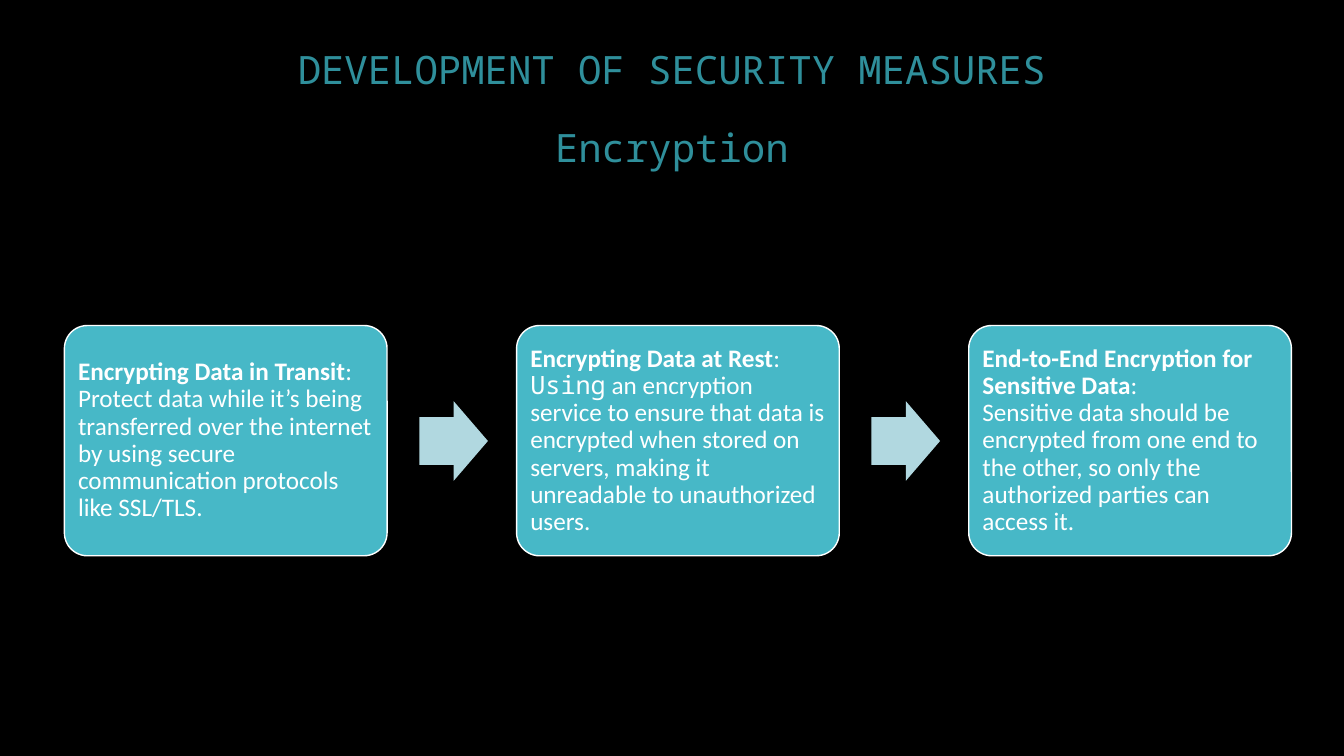
"""Build the slide on encryption as a security measure."""
from pptx import Presentation
from pptx.dml.color import RGBColor
from pptx.enum import shapes, text
from pptx.util import Pt


def rgb(value):
    return RGBColor.from_string(value)


def write(paragraph, content, font="Calibri", size=18, color="FFFFFF", bold=False):
    run = paragraph.add_run()
    run.text = content
    run.font.name = font
    run.font.size = Pt(size)
    run.font.bold = bold
    run.font.color.rgb = rgb(color)


MONO = "Noto Sans Mono"
MEASURES = [
    ("Encrypting Data in Transit",
     [("Protect data while it’s being transferred over the internet by using "
       "secure communication protocols like SSL/TLS.", "Calibri")]),
    ("Encrypting Data at Rest",
     [("Using", MONO),
      (" an encryption service to ensure that data is encrypted when stored on "
       "servers, making it unreadable to unauthorized users.", "Calibri")]),
    ("End-to-End Encryption for Sensitive Data",
     [("Sensitive data should be encrypted from one end to the other, so only "
       "the authorized parties can access it.", "Calibri")]),
]
LEFT, STEP = 46, 323

deck = Presentation()
deck.slide_width, deck.slide_height = Pt(960), Pt(540)
slide = deck.slides.add_slide(deck.slide_layouts[5])
slide.background.fill.solid()
slide.background.fill.fore_color.rgb = rgb("000000")

title = slide.shapes.title
title.left, title.top, title.width, title.height = Pt(120), Pt(36), Pt(720), Pt(90)
heading = title.text_frame
heading.auto_size = text.MSO_AUTO_SIZE.NONE
heading.vertical_anchor = text.MSO_ANCHOR.BOTTOM
topic, subtopic = heading.paragraphs[0], heading.add_paragraph()
subtopic.space_before = Pt(26)
for line, words in [(topic, "DEVELOPMENT OF SECURITY MEASURES"), (subtopic, "Encryption")]:
    line.alignment = text.PP_ALIGN.CENTER
    line.line_spacing = 0.9
    write(line, words, font=MONO, size=27.9, color="2F8F9B")

for index, (measure, details) in enumerate(MEASURES):
    left = LEFT + index * STEP
    card = slide.shapes.add_shape(shapes.MSO_SHAPE.ROUNDED_RECTANGLE,
                                  Pt(left), Pt(232.5), Pt(230.5), Pt(164.5))
    card.adjustments[0] = 0.1
    card.shadow.inherit = False
    card.fill.solid()
    card.fill.fore_color.rgb = rgb("47B8C7")
    card.line.color.rgb = rgb("FFFFFF")
    card.line.width = Pt(1)

    frame = card.text_frame
    frame.word_wrap = True
    frame.vertical_anchor = text.MSO_ANCHOR.MIDDLE
    frame.margin_left = frame.margin_right = Pt(5)
    frame.margin_top = frame.margin_bottom = Pt(5)
    body = frame.paragraphs[0]
    body.alignment = text.PP_ALIGN.LEFT
    body.line_spacing = 0.9
    write(body, measure, bold=True)
    write(body, ":")
    body.add_line_break()
    for words, font in details:
        write(body, words, font=font)

    if index < len(MEASURES) - 1:
        arrow = slide.shapes.add_shape(shapes.MSO_SHAPE.RIGHT_ARROW,
                                       Pt(left + 253.5), Pt(286.5), Pt(49), Pt(57))
        arrow.adjustments[0] = 0.6
        arrow.adjustments[1] = 0.5
        arrow.shadow.inherit = False
        arrow.fill.solid()
        arrow.fill.fore_color.rgb = rgb("B1D8E0")
        arrow.line.fill.background()

deck.save("out.pptx")
